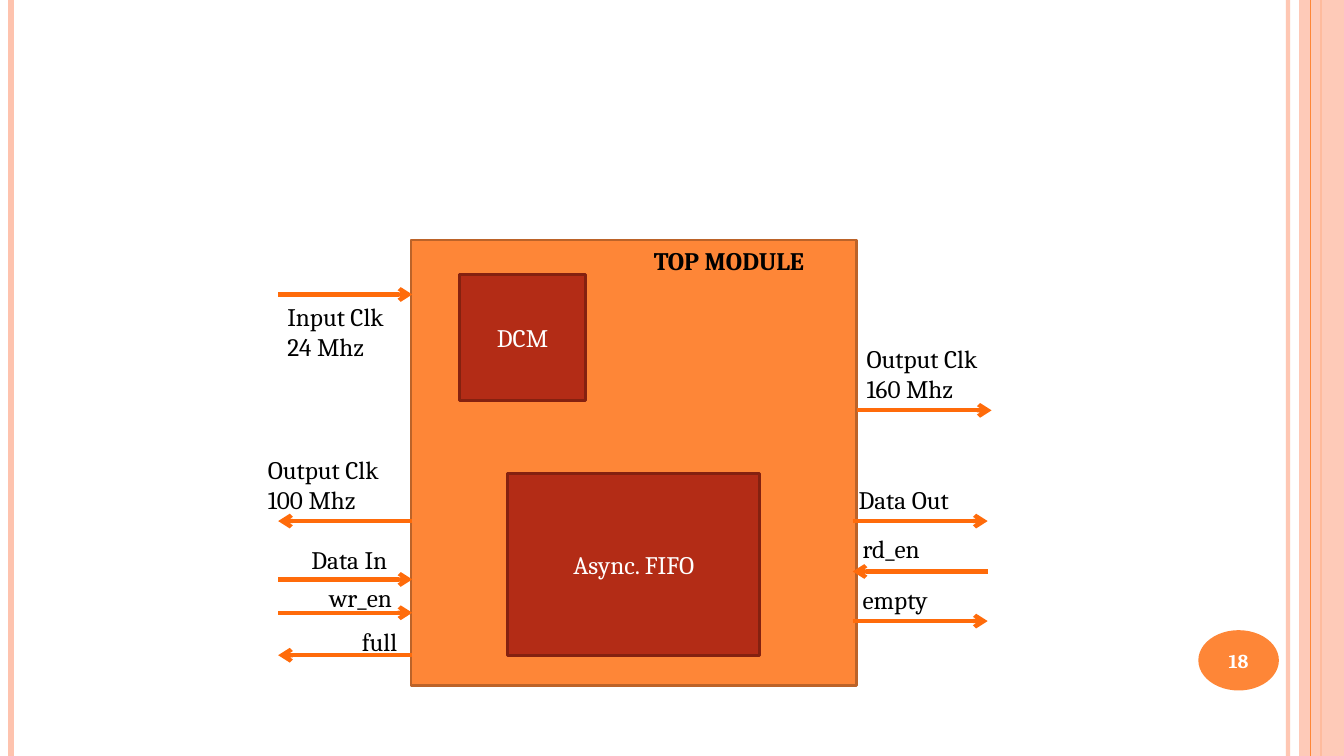
from lxml import etree
from pptx import Presentation
from pptx.dml.color import RGBColor
from pptx.enum.shapes import MSO_CONNECTOR, MSO_SHAPE
from pptx.enum.text import MSO_ANCHOR, PP_ALIGN
from pptx.oxml.ns import qn
from pptx.util import Cm, Pt

RECTANGLE, ELLIPSE = MSO_SHAPE.RECTANGLE, MSO_SHAPE.OVAL
STRAIGHT = MSO_CONNECTOR.STRAIGHT
MIDDLE, CENTER, LEFT = MSO_ANCHOR.MIDDLE, PP_ALIGN.CENTER, PP_ALIGN.LEFT

FONT = "Cambria"
COLORS = {
    "orange": "FE8637",
    "orange_edge": "BC6329",
    "red": "B32C16",
    "red_edge": "842110",
    "arrow": "FF6B0A",
    "pink": "FEC3AE",
    "black": "000000",
    "white": "FFFFFF",
}

PAGE_WIDTH, PAGE_HEIGHT = 33.87, 19.05

# Ends of the signal arrows (outer side, module side) and of the left labels
LEFT_OUTER, LEFT_PORT = 7.01, 10.39
RIGHT_PORT, RIGHT_OUTER = 21.49, 24.89
LINE_HEIGHT, LABEL_PADDING = 0.77, 0.25

# Left signals: lines, label top, label width, arrow height, goes into module
LEFT_SIGNALS = [
    (["Input Clk", "24 Mhz"], 7.47, 3.4, 7.42, True),
    (["Output Clk", "100 Mhz"], 11.33, 3.89, 13.13, False),
    (["Data In"], 13.59, 2.79, 14.6, True),
    (["wr_en"], 14.55, 2.34, 15.44, True),
    (["full"], 15.65, 1.52, 16.51, False),
]
# Right signals: lines, label left, label top, label width, arrow shift,
# arrow height, goes into module
RIGHT_SIGNALS = [
    (["Output Clk", "160 Mhz"], 21.59, 8.53, 3.89, 0.1, 10.34, False),
    (["Data Out"], 21.39, 12.07, 3.3, 0, 13.13, False),
    (["rd_en"], 21.49, 13.31, 2.21, 0, 14.4, True),
    (["empty"], 21.49, 14.6, 2.36, 0, 15.65, False),
]


def rgb(name):
    return RGBColor.from_string(COLORS[name])


def set_opacity(parent, percent):
    color = next(parent.iter(qn("a:srgbClr")))
    etree.SubElement(color, qn("a:alpha")).set("val", str(percent * 1000))


def write_lines(frame, lines, color, size=18, bold=False, align=LEFT):
    for index, text in enumerate(lines):
        para = frame.add_paragraph() if index else frame.paragraphs[0]
        para.alignment = align
        span = para.add_run()
        span.text = text
        span.font.name = FONT
        span.font.size = Pt(size)
        span.font.bold = bold
        span.font.color.rgb = rgb(color)


def add_block(page, kind, left, top, width, height, fill, edge=None):
    block = page.shapes.add_shape(kind, Cm(left), Cm(top), Cm(width), Cm(height))
    block.shadow.inherit = False
    block.fill.solid()
    block.fill.fore_color.rgb = rgb(fill)
    if edge:
        block.line.color.rgb = rgb(edge)
        block.line.width = Pt(2)
    else:
        block.line.fill.background()
    return block


def add_caption(block, text, size=18, bold=False):
    frame = block.text_frame
    frame.margin_left = frame.margin_right = 0
    frame.vertical_anchor = MIDDLE
    write_lines(frame, [text], "white", size, bold, CENTER)


def add_label(page, lines, left, top, width, bold=False):
    height = len(lines) * LINE_HEIGHT + LABEL_PADDING
    box = page.shapes.add_textbox(Cm(left), Cm(top), Cm(width), Cm(height))
    box.text_frame.word_wrap = False
    write_lines(box.text_frame, lines, "black", bold=bold)


def add_line(page, start, end, color, weight):
    line = page.shapes.add_connector(STRAIGHT, *(Cm(value) for value in start + end))
    line.line.color.rgb = rgb(color)
    line.line.width = Pt(weight)
    etree.SubElement(line._element.spPr, qn("a:effectLst"))
    return line


def add_arrow(page, start_x, end_x, height):
    arrow = add_line(page, (start_x, height), (end_x, height), "arrow", 3)
    etree.SubElement(arrow.line._get_or_add_ln(), qn("a:tailEnd")).set("type", "arrow")


def add_signal(page, outer, port, height, inward):
    start, end = (outer, port) if inward else (port, outer)
    add_arrow(page, start, end, height)


def add_edge_decoration(page):
    def add_stripe(x, color, weight):
        return add_line(page, (x, 0), (x, PAGE_HEIGHT), color, weight)

    set_opacity(add_stripe(32.46, "pink", 3).line._get_or_add_ln(), 93)
    add_stripe(0.28, "pink", 4.5)
    add_stripe(33.3, "orange", 1.5)
    band = add_block(page, RECTANGLE, 32.74, 0, 1.13, PAGE_HEIGHT, "pink")
    set_opacity(band._element.spPr, 87)
    add_stripe(33.02, "orange", 0.75)
    badge = add_block(page, ELLIPSE, 30.2, 15.88, 2.03, 1.52, "orange")
    add_caption(badge, "18", 14, True)


def add_modules(page):
    add_block(page, RECTANGLE, 10.36, 6.05, 11.23, 11.23, "orange", "orange_edge")
    add_label(page, ["TOP MODULE"], 16.23, 6.05, 5.36, bold=True)
    for name, left, top, width, height in (
        ("DCM", 11.58, 6.91, 3.18, 3.18),
        ("Async. FIFO", 12.8, 11.94, 6.35, 4.57),
    ):
        block = add_block(page, RECTANGLE, left, top, width, height, "red", "red_edge")
        add_caption(block, name)


def add_signals(page):
    for lines, top, width, height, inward in LEFT_SIGNALS:
        add_signal(page, LEFT_OUTER, LEFT_PORT, height, inward)
        add_label(page, lines, LEFT_PORT - width, top, width)
    for lines, left, top, width, shift, height, inward in RIGHT_SIGNALS:
        add_signal(page, RIGHT_OUTER + shift, RIGHT_PORT + shift, height, inward)
        add_label(page, lines, left, top, width)


def main():
    deck = Presentation()
    deck.slide_width, deck.slide_height = Cm(PAGE_WIDTH), Cm(PAGE_HEIGHT)
    page = deck.slides.add_slide(deck.slide_layouts[6])
    add_edge_decoration(page)
    add_modules(page)
    add_signals(page)
    deck.save("out.pptx")


if __name__ == "__main__":
    main()
